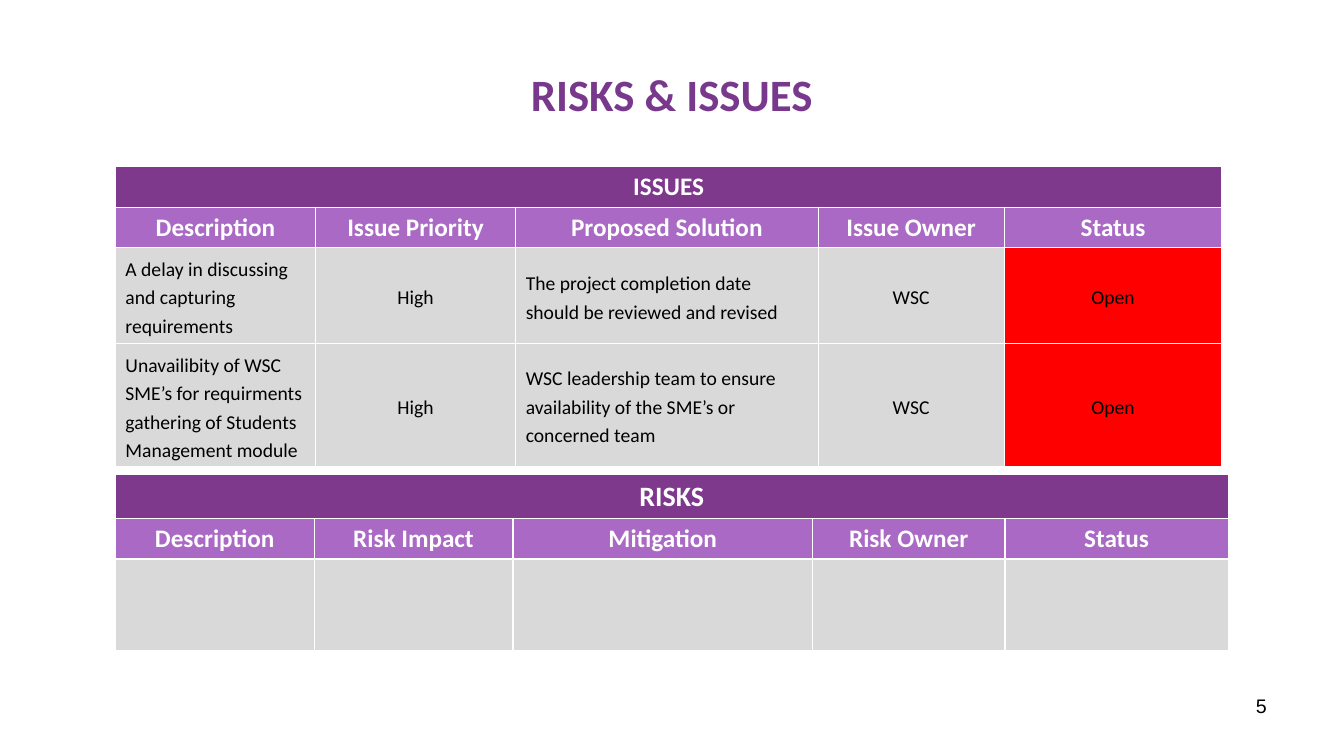
from lxml import etree
from pptx import Presentation
from pptx import util as u
from pptx.dml.color import RGBColor
from pptx.enum import text
from pptx.oxml.ns import qn

COLOURS = {
    "title": "78398D",
    "banner": "7F398C",
    "header": "A969C4",
    "body": "D9D9D9",
    "open": "FF0000",
    "white": "FFFFFF",
    "black": "000000",
}
TITLE = "RISKS & ISSUES"
PAGE_NUMBER = "5"
TABLES = [
    {
        "banner": "ISSUES",
        "banner_size": 18,
        "top": 119,
        "widths": [143, 143, 216, 133, 155.5],
        "heights": [29, 29, 68.4, 87.8],
        "header": ["Description", "Issue Priority", "Proposed Solution", "Issue Owner", "Status"],
        "rows": [
            ["A delay in discussing and capturing requirements", "High",
             "The project completion date should be reviewed and revised", "WSC", "Open"],
            ["Unavailibity of WSC SME’s for requirments gathering of Students Management module",
             "High", "WSC leadership team to ensure availability of the SME’s or concerned team",
             "WSC", "Open"],
        ],
    },
    {
        "banner": "RISKS",
        "banner_size": 20,
        "top": 339,
        "widths": [142, 142, 214, 137.5, 159.5],
        "heights": [31.2, 29, 65.5],
        "header": ["Description", "Risk Impact", "Mitigation", "Risk Owner", "Status"],
        "rows": [[""] * 5],
    },
]
TABLE_LEFT = 82.4
LEFT_ALIGNED_COLUMNS = (0, 2)
ALIGN = text.PP_ALIGN
ANCHOR = text.MSO_ANCHOR


def colour(name):
    """Return the named colour."""
    return RGBColor.from_string(COLOURS[name])


def write(frame, words, size, colour_name, align, bold=False, font="Calibri"):
    """Write one styled paragraph and return it."""
    paragraph = frame.paragraphs[0]
    paragraph.alignment = align
    if words:
        paragraph.add_run().text = words
    paragraph.font.name = font
    paragraph.font.size = u.Pt(size)
    paragraph.font.bold = bold
    paragraph.font.color.rgb = colour(colour_name)
    return paragraph


def add_text(slide, box, anchor, *style):
    """Add a wrapped text box."""
    frame = slide.shapes.add_textbox(*map(u.Pt, box)).text_frame
    frame.word_wrap = True
    frame.vertical_anchor = anchor
    write(frame, *style)


def paint(cell, fill_name):
    """Give a cell white borders and a solid fill."""
    properties = cell._tc.get_or_add_tcPr()
    for side in ("a:lnL", "a:lnR", "a:lnT", "a:lnB"):
        line = etree.SubElement(properties, qn(side), w=str(u.Pt(1)))
        fill = etree.SubElement(line, qn("a:solidFill"))
        etree.SubElement(fill, qn("a:srgbClr"), val=COLOURS["white"])
    cell.fill.solid()
    cell.fill.fore_color.rgb = colour(fill_name)


def add_log(slide, log):
    """Add one log table with banner, header and body rows."""
    widths, heights = log["widths"], log["heights"]
    box = (TABLE_LEFT, log["top"], sum(widths), sum(heights))
    table = slide.shapes.add_table(len(heights), len(widths), *map(u.Pt, box)).table
    for column, width in zip(table.columns, widths):
        column.width = u.Pt(width)
    for row, height in zip(table.rows, heights):
        row.height = u.Pt(height)

    table.cell(0, 0).merge(table.cell(0, len(widths) - 1))
    write(table.cell(0, 0).text_frame, log["banner"], log["banner_size"], "white",
          ALIGN.CENTER, True)
    for index, label in enumerate(log["header"]):
        paint(table.cell(0, index), "banner")
        paint(table.cell(1, index), "header")
        write(table.cell(1, index).text_frame, label, 18, "white", ALIGN.CENTER, True)
    for row_index, values in enumerate(log["rows"], 2):
        for index, value in enumerate(values):
            cell = table.cell(row_index, index)
            cell.vertical_anchor = ANCHOR.MIDDLE
            paint(cell, "open" if value == "Open" else "body")
            align = ALIGN.LEFT if index in LEFT_ALIGNED_COLUMNS else ALIGN.CENTER
            write(cell.text_frame, value, 14, "black", align).line_spacing = 1.2


def main():
    """Build and save the slide."""
    presentation = Presentation()
    presentation.slide_width = u.Pt(960)
    presentation.slide_height = u.Pt(540)
    slide = presentation.slides.add_slide(presentation.slide_layouts[6])
    add_text(slide, (48, 21.6, 864, 90), ANCHOR.MIDDLE,
             TITLE, 32, "title", ALIGN.CENTER, True)
    add_text(slide, (688, 492, 224, 37), ANCHOR.TOP,
             PAGE_NUMBER, 14, "black", ALIGN.RIGHT, False, "Arial")
    for log in TABLES:
        add_log(slide, log)
    presentation.save("out.pptx")


if __name__ == "__main__":
    main()
